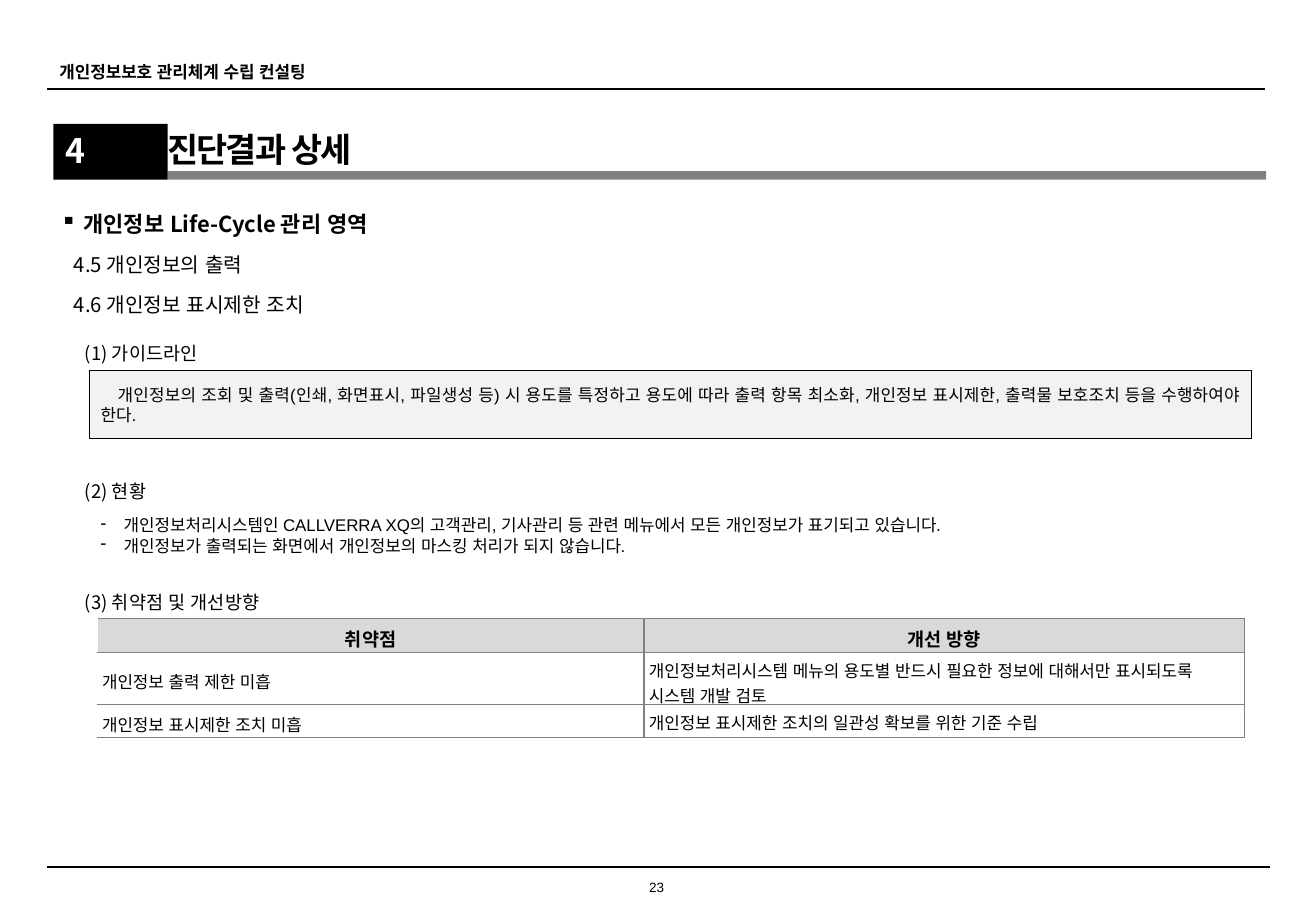
from dataclasses import dataclass

from pptx import Presentation
from pptx.dml.color import RGBColor
from pptx.enum.lang import MSO_LANGUAGE_ID as Lang
from pptx.enum.shapes import MSO_CONNECTOR as Connector, MSO_SHAPE as Shape
from pptx.enum.text import MSO_ANCHOR as Anchor, MSO_AUTO_SIZE as AutoSize, PP_ALIGN as Align
from pptx.oxml.ns import qn
from pptx.oxml.xmlchemy import OxmlElement
from pptx.util import Inches, Pt


@dataclass(frozen=True)
class Theme:
    heading_font: str = "Noto Sans CJK KR"
    body_font: str = "Arial"
    ink: str = "000000"
    paper: str = "FFFFFF"
    rule: str = "808080"
    header_fill: str = "D9D9D9"
    panel_fill: str = "F2F2F2"
    title: float = 20
    area: float = 13
    topic: float = 12
    section: float = 11
    body: float = 10
    footer: float = 8


class Page:
    cell = Inches(0.1)

    def __init__(self, slide, theme):
        self.slide = slide
        self.theme = theme

    def grid(self, *steps):
        return [round(step * self.cell) for step in steps]

    def apply(self, target, values):
        for name, value in values.items():
            setattr(target, name, value)

    def fill_text(self, frame, lines, size, font=None, color=None, bold=False, spacing=None,
                  bullet=None, indent=None, paragraph_format=None, frame_format=None):
        self.apply(frame, {"word_wrap": True, **(frame_format or {})})
        for index, line in enumerate(lines):
            paragraph = frame.paragraphs[0] if index == 0 else frame.add_paragraph()
            properties = paragraph._p.get_or_add_pPr()
            if indent:
                margin, first = self.grid(*indent)
                properties.set("marL", str(margin))
                properties.set("indent", str(first))
            if bullet:
                mark = OxmlElement("a:buChar")
                mark.set("char", bullet)
                properties.append(mark)
            self.apply(paragraph, paragraph_format or {})
            run = paragraph.add_run()
            run.text = line
            self.apply(run.font, {"name": font or self.theme.heading_font, "size": Pt(size),
                                  "bold": bold, "language_id": Lang.KOREAN})
            run.font.color.rgb = RGBColor.from_string(color or self.theme.ink)
            run_properties = run._r.get_or_add_rPr()
            east_asian = OxmlElement("a:ea")
            east_asian.set("typeface", self.theme.heading_font)
            run_properties.append(east_asian)
            if spacing:
                run_properties.set("spc", str(round(spacing * 100)))

    def text(self, place, lines, size, frame_format=None, **style):
        box = self.slide.shapes.add_textbox(*self.grid(*place))
        self.fill_text(box.text_frame, lines, size, frame_format=frame_format, **style)

    def block(self, place, fill, line=None):
        block = self.slide.shapes.add_shape(Shape.RECTANGLE, *self.grid(*place))
        block.shadow.inherit = False
        block.fill.solid()
        block.fill.fore_color.rgb = RGBColor.from_string(fill)
        if line:
            block.line.color.rgb = RGBColor.from_string(line)
            block.line.width = Pt(0.1)
        else:
            block.line.fill.background()
        return block.text_frame

    def rule(self, left, right, top, width):
        line = self.slide.shapes.add_connector(Connector.STRAIGHT, *self.grid(left, top, right, top))
        line.line.color.rgb = RGBColor.from_string(self.theme.ink)
        line.line.width = Pt(width)
        line._element.spPr.append(OxmlElement("a:effectLst"))

    def border(self, cell, side, color):
        edge = OxmlElement(f"a:{side}")
        edge.set("w", str(Pt(0.75)))
        fill = OxmlElement("a:solidFill")
        shade = OxmlElement("a:srgbClr")
        shade.set("val", color)
        fill.append(shade)
        edge.append(fill)
        properties = cell._tc.get_or_add_tcPr()
        borders = [child for child in properties if child.tag.startswith(qn("a:ln"))]
        properties.insert(len(borders), edge)

    def table(self, left, top, columns, rows, records):
        place = self.grid(left, top, sum(columns), sum(rows))
        table = self.slide.shapes.add_table(len(rows), len(columns), *place).table
        self.apply(table, {"first_row": False, "horz_banding": False})
        for column, width in zip(table.columns, self.grid(*columns)):
            column.width = width
        for row, height in zip(table.rows, self.grid(*rows)):
            row.height = height
        side_margin, top_margin = self.grid(0.4, 0.5)
        for r, record in enumerate(records):
            header = r == 0
            for c, words in enumerate(record):
                cell = table.cell(r, c)
                centered = c == 0 and not header
                self.apply(cell, {"margin_left": side_margin, "margin_right": side_margin,
                                  "margin_top": top_margin, "margin_bottom": 0,
                                  "vertical_anchor": Anchor.MIDDLE if centered else Anchor.TOP})
                cell.fill.solid()
                cell.fill.fore_color.rgb = RGBColor.from_string(
                    self.theme.header_fill if header else self.theme.paper)
                for side in ("lnL", "lnR", "lnT", "lnB"):
                    outer = side == "lnL" and c == 0
                    self.border(cell, side, self.theme.paper if outer else self.theme.rule)
                self.fill_text(cell.text_frame, [words],
                               self.theme.section if header else self.theme.body,
                               font=self.theme.heading_font if header else self.theme.body_font,
                               bold=header,
                               paragraph_format={"alignment": Align.CENTER if header else Align.LEFT})


def main():
    deck = Presentation()
    deck.slide_width, deck.slide_height = Inches(10.83), Inches(7.5)
    theme = Theme()
    page = Page(deck.slides.add_slide(deck.slide_layouts[6]), theme)
    grow = {"auto_size": AutoSize.SHAPE_TO_FIT_TEXT}
    loose = {"line_spacing": 1.3}

    page.rule(3.9, 104.1, 7.3, 1.25)
    page.text((3.9, 4.6, 24.8, 2.7), ["개인정보보호 관리체계 수립 컨설팅"], theme.body, grow, bold=True)
    page.rule(3.9, 104.5, 71.4, 1)
    page.text((52.4, 72.3, 3.3, 1.4), ["23"], theme.footer,
              {"vertical_anchor": Anchor.MIDDLE, "margin_left": 0, "margin_right": 0,
               "margin_top": 0, "margin_bottom": 0},
              font=theme.body_font, paragraph_format={"alignment": Align.CENTER})

    page.block((13.8, 14.1, 90.4, 0.7), theme.rule)
    chapter = page.block((4.4, 10.2, 9.4, 4.6), theme.ink)
    page.fill_text(chapter, ["4"], theme.title, color=theme.paper, bold=True,
                   frame_format={"vertical_anchor": Anchor.TOP},
                   paragraph_format={"alignment": Align.LEFT})
    page.text((13.8, 10.4, 54.8, 3.7), ["진단결과 상세"], theme.title,
              {"vertical_anchor": Anchor.MIDDLE, "margin_left": 0}, bold=True, spacing=-1.2)

    page.text((4, 16.2, 102.1, 3.9), ["개인정보 Life-Cycle 관리 영역"], theme.area, grow,
              bold=True, bullet="▪", indent=(1.9, -1.9), paragraph_format=loose)
    for top, topic in ((19.7, "4.5 개인정보의 출력"), (23, "4.6 개인정보 표시제한 조치")):
        page.text((5.1, top, 47.3, 3.4), [topic], theme.topic, grow, paragraph_format=loose)
    for top, section in ((27.1, "(1) 가이드라인"), (38.5, "(2) 현황"), (47.6, "(3) 취약점 및 개선방향")):
        page.text((6, top, 47.3, 3.4), [section], theme.section, grow, paragraph_format=loose)

    guideline = page.block((7.3, 30.5, 95.7, 5.6), theme.panel_fill, theme.ink)
    page.fill_text(guideline, [
        "개인정보의 조회 및 출력(인쇄, 화면표시, 파일생성 등) 시 용도를 특정하고 용도에 따라 출력 항목 최소화, "
        "개인정보 표시제한, 출력물 보호조치 등을 수행하여야 한다."],
        theme.body, font=theme.body_font, indent=(0, 1.4),
        frame_format={"vertical_anchor": Anchor.MIDDLE},
        paragraph_format={"alignment": Align.JUSTIFY})

    page.text((7.3, 41.9, 95.7, 4.4), [
        "개인정보처리시스템인 CALLVERRA XQ의 고객관리, 기사관리 등 관련 메뉴에서 모든 개인정보가 표기되고 있습니다.",
        "개인정보가 출력되는 화면에서 개인정보의 마스킹 처리가 되지 않습니다."],
        theme.body, grow, font=theme.body_font, bullet="-", indent=(1.9, -1.9))

    page.table(8, 50.9, (45, 49.4), (2.8, 4.3, 2.7), (
        ("취약점", "개선 방향"),
        ("개인정보 출력 제한 미흡",
         "개인정보처리시스템 메뉴의 용도별 반드시 필요한 정보에 대해서만 표시되도록 시스템 개발 검토"),
        ("개인정보 표시제한 조치 미흡", "개인정보 표시제한 조치의 일관성 확보를 위한 기준 수립")))

    deck.save("out.pptx")


if __name__ == "__main__":
    main()
